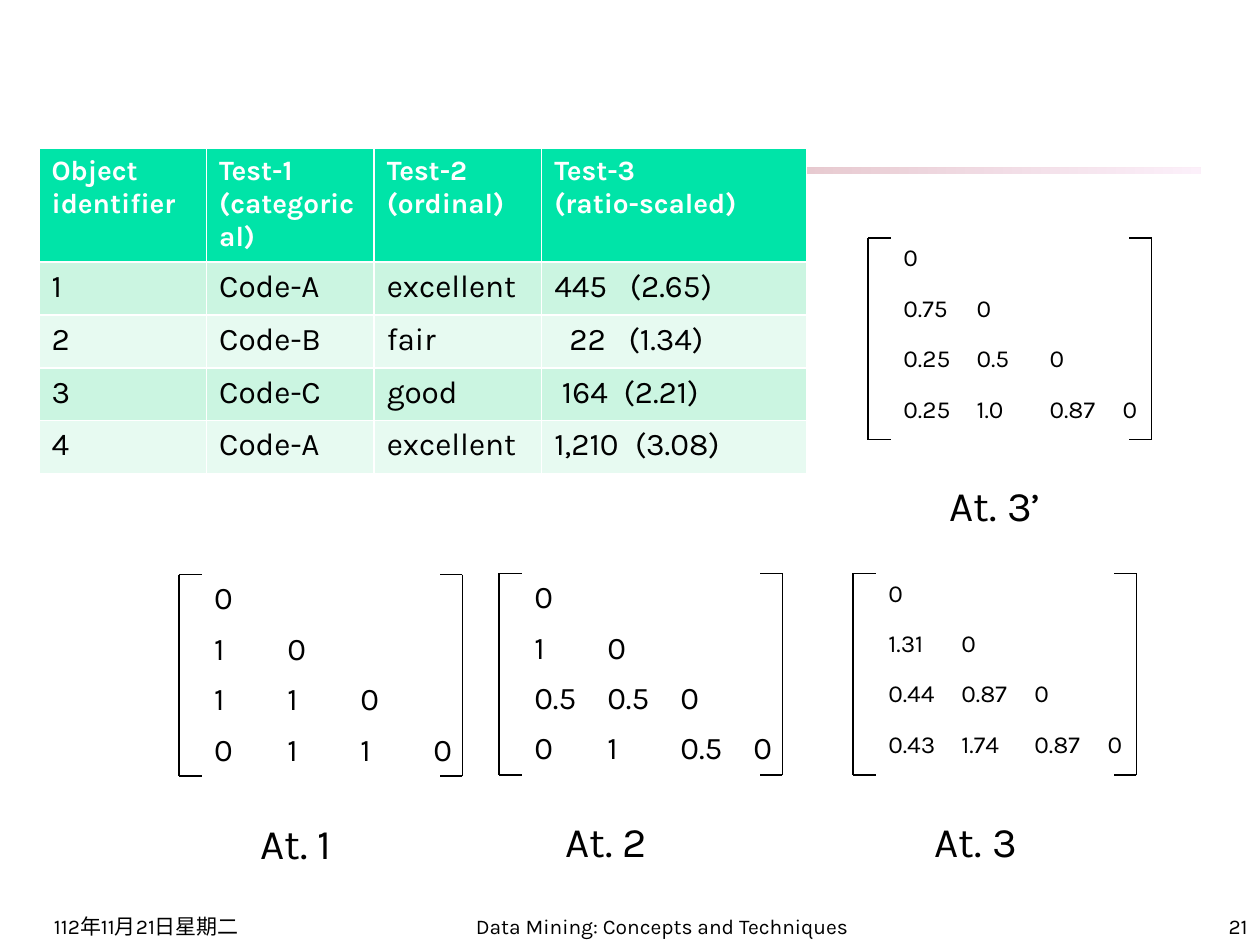
import pptx
import pptx.dml.color
import pptx.enum.shapes
import pptx.enum.text
import pptx.oxml.ns
import pptx.util
from lxml import etree
from pptx.dml.color import RGBColor
from pptx.util import Inches

FONT = "Karla"
BLACK = RGBColor(0x00, 0x00, 0x00)
WHITE = RGBColor(0xFF, 0xFF, 0xFF)
HEADER_GREEN = RGBColor(0x00, 0xE4, 0xA8)
ROW_GREENS = (RGBColor(0xCB, 0xF5, 0xE1), RGBColor(0xE7, 0xFA, 0xF1))
BAR_COLORS = (RGBColor(0x80, 0x00, 0x00), RGBColor(0xFA, 0xE2, 0xF6))

ALIGN = pptx.enum.text.PP_ALIGN
ANCHOR = pptx.enum.text.MSO_ANCHOR

MATRIX_CELL_WIDTH, MATRIX_CELL_HEIGHT = 0.58, 0.4
BRACKET_GAP, BRACKET_WIDTH, BRACKET_TICK = 0.18, 2.25, 0.18

OBJECT_COLUMNS = (1.33, 1.33, 1.33, 2.1)
OBJECT_HEADERS = ("Object identifier", "Test-1\n(categorical)",
                  "Test-2\n(ordinal)", "Test-3\n(ratio-scaled)")
OBJECT_ROWS = (
    ("1", "Code-A", "excellent", "445\t(2.65)"),
    ("2", "Code-B", "fair", "\t22\t(1.34)"),
    ("3", "Code-C", "good", "\t164\t(2.21)"),
    ("4", "Code-A", "excellent", "1,210\t(3.08)"),
)
# Tab stops of the last column, one tuple for each object row
RATIO_TABS = ((0.6,), (0.12, 0.59), (0.06, 0.55), (0.64,))

# left, top, text size, lower triangle
MATRICES = (
    (1.6, 4.56, 18, (("0",), ("1", "0"), ("1", "1", "0"),
                     ("0", "1", "1", "0"))),
    (4.14, 4.55, 18, (("0",), ("1", "0"), ("0.5", "0.5", "0"),
                      ("0", "1", "0.5", "0"))),
    (6.95, 4.55, 14, (("0",), ("1.31", "0"), ("0.44", "0.87", "0"),
                      ("0.43", "1.74", "0.87", "0"))),
    (7.07, 1.89, 14, (("0",), ("0.75", "0"), ("0.25", "0.5", "0"),
                      ("0.25", "1.0", "0.87", "0"))),
)
# text, left, top, width
LABELS = (("At. 1", 1.97, 6.44, 0.9), ("At. 2", 4.39, 6.42, 0.9),
          ("At. 3", 7.32, 6.42, 0.9), ("At. 3’", 7.44, 3.76, 1.04))
# text, left, width, alignment
FOOTERS = (("112年11月21日星期二", 0.33, 2.08, ALIGN.LEFT),
           ("Data Mining: Concepts and Techniques", 3.67, 3.17, ALIGN.CENTER),
           ("21", 7.92, 2.08, ALIGN.RIGHT))


def write_text(frame, text, size, color=BLACK, bold=False, align=ALIGN.LEFT):
    frame.text = text
    for para in frame.paragraphs:
        para.alignment = align
        for span in para.runs:
            span.font.name = FONT
            span.font.size = pptx.util.Pt(size)
            span.font.bold = bold
            span.font.color.rgb = color


def add_text_box(page, text, left, top, width, height, size,
                 align=ALIGN.LEFT, anchor=ANCHOR.TOP):
    box = page.shapes.add_textbox(Inches(left), Inches(top),
                                  Inches(width), Inches(height))
    box.text_frame.word_wrap = True
    box.text_frame.vertical_anchor = anchor
    write_text(box.text_frame, text, size, align=align)


def add_gradient_bar(page):
    bar = page.shapes.add_shape(
        pptx.enum.shapes.MSO_SHAPE.RECTANGLE,
        Inches(0.33), Inches(1.33), Inches(9.2), Inches(0.05))
    bar.shadow.inherit = False
    bar.line.fill.background()
    bar.fill.gradient()
    bar.fill.gradient_angle = 0
    for stop, color in zip(bar.fill.gradient_stops, BAR_COLORS):
        stop.color.rgb = color
    for color_node in bar._element.spPr.iter(pptx.oxml.ns.qn("a:srgbClr")):
        etree.SubElement(color_node, pptx.oxml.ns.qn("a:alpha"), val="50000")


def add_line(page, start, end):
    line = page.shapes.add_connector(
        pptx.enum.shapes.MSO_CONNECTOR.STRAIGHT,
        *(Inches(value) for value in (*start, *end)))
    line.line.color.rgb = BLACK
    line.line.width = pptx.util.Pt(0.75)
    etree.SubElement(line._element.spPr, pptx.oxml.ns.qn("a:effectLst"))


def add_bracket(page, x, top, bottom, tick):
    """Draw a square bracket; a negative tick opens it to the left."""
    add_line(page, (x, top), (x, bottom))
    for y in (top, bottom):
        add_line(page, (x, y), (x + tick, y))


def add_grid(page, left, top, column_widths, row_heights):
    frame = page.shapes.add_table(
        len(row_heights), len(column_widths), Inches(left), Inches(top),
        Inches(sum(column_widths)), Inches(sum(row_heights)))
    for column, width in zip(frame.table.columns, column_widths):
        column.width = Inches(width)
    for row, height in zip(frame.table.rows, row_heights):
        row.height = Inches(height)
    return frame.table


def add_matrix(page, left, top, size, triangle):
    count = len(triangle)
    table = add_grid(page, left, top, [MATRIX_CELL_WIDTH] * count,
                     [MATRIX_CELL_HEIGHT] * count)
    table.first_row = False
    table.horz_banding = False
    for cell in table.iter_cells():
        cell.fill.background()
    for row, values in enumerate(triangle):
        for column, value in enumerate(values):
            write_text(table.cell(row, column).text_frame, value, size)

    bottom = top + count * MATRIX_CELL_HEIGHT
    bracket_left = left - BRACKET_GAP
    add_bracket(page, bracket_left, top, bottom, BRACKET_TICK)
    add_bracket(page, bracket_left + BRACKET_WIDTH, top, bottom, -BRACKET_TICK)


def set_tabs(para, positions):
    properties = para._p.get_or_add_pPr()
    tab_list = etree.SubElement(properties, pptx.oxml.ns.qn("a:tabLst"))
    for position in positions:
        etree.SubElement(tab_list, pptx.oxml.ns.qn("a:tab"),
                         pos=str(Inches(position)), algn="l")


def add_object_table(page):
    table = add_grid(page, 0.31, 1.18, OBJECT_COLUMNS,
                     [0.65] + [0.42] * len(OBJECT_ROWS))
    for column, header in enumerate(OBJECT_HEADERS):
        cell = table.cell(0, column)
        cell.fill.solid()
        cell.fill.fore_color.rgb = HEADER_GREEN
        write_text(cell.text_frame, header, 16, WHITE, bold=True)
    for row, values in enumerate(OBJECT_ROWS):
        for column, value in enumerate(values):
            cell = table.cell(row + 1, column)
            cell.fill.solid()
            cell.fill.fore_color.rgb = ROW_GREENS[row % 2]
            write_text(cell.text_frame, value, 18)
        set_tabs(cell.text_frame.paragraphs[0], RATIO_TABS[row])


def main():
    deck = pptx.Presentation()
    deck.slide_width, deck.slide_height = Inches(10), Inches(7.5)
    page = deck.slides.add_slide(deck.slide_layouts[6])

    add_gradient_bar(page)
    for text, left, width, align in FOOTERS:
        add_text_box(page, text, left, 7.08, width, 0.42, 12, align,
                     ANCHOR.BOTTOM)
    add_object_table(page)
    for matrix in MATRICES:
        add_matrix(page, *matrix)
    for text, left, top, width in LABELS:
        add_text_box(page, text, left, top, width, 0.5, 24)

    deck.save("out.pptx")


if __name__ == "__main__":
    main()
